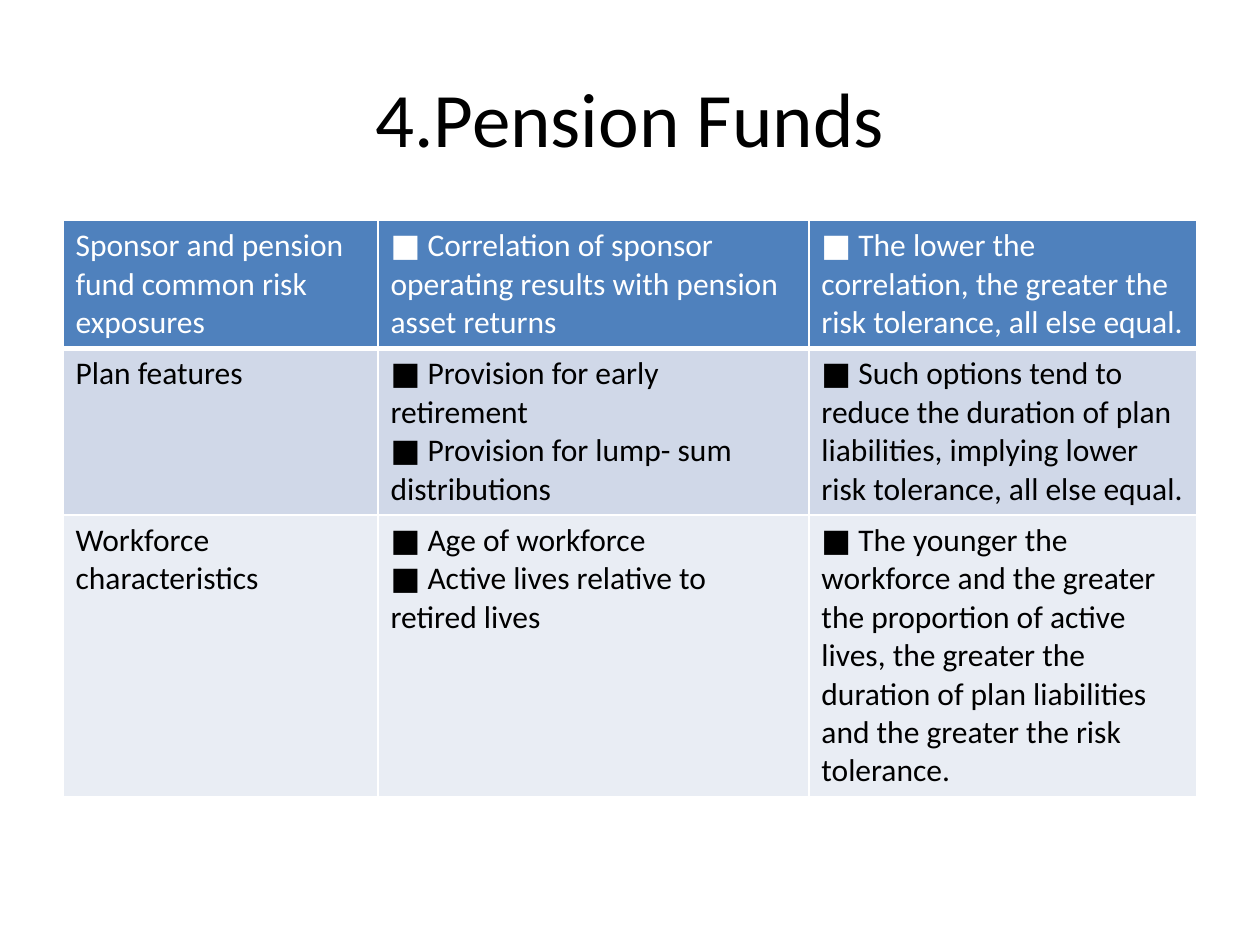
from dataclasses import dataclass

from lxml import etree
from pptx import Presentation
from pptx import util as u
from pptx.dml.color import RGBColor
from pptx.enum import text
from pptx.oxml import ns


@dataclass(frozen=True)
class Theme:
    """Colours, font and type sizes of the slide."""
    font: str = "Calibri"
    title_size: int = 44
    cell_size: int = 18
    dark: str = "000000"
    light: str = "FFFFFF"
    row_fills: tuple = ("4F81BD", "D0D8E8", "E9EDF4")


theme = Theme()


def write(frame, lines, size=theme.cell_size, color=theme.dark,
          align=text.PP_ALIGN.LEFT, anchor=text.MSO_ANCHOR.TOP):
    """Fill a text frame with one formatted paragraph per line."""
    frame.vertical_anchor = anchor
    for i, line in enumerate(lines):
        paragraph = frame.paragraphs[0] if i == 0 else frame.add_paragraph()
        paragraph.alignment = align
        run = paragraph.add_run()
        run.text = line
        run.font.name = theme.font
        run.font.size = u.Pt(size)
        run.font.color.rgb = RGBColor.from_string(color)


def set_borders(cell, widths):
    """Draw cell borders; widths maps L, R, T, B to points."""
    properties = cell._tc.get_or_add_tcPr()
    for side, points in widths.items():
        line = etree.SubElement(properties, ns.qn(f"a:ln{side}"), w=str(u.Pt(points)))
        fill = etree.SubElement(line, ns.qn("a:solidFill"))
        etree.SubElement(fill, ns.qn("a:srgbClr"), val=theme.light)


presentation = Presentation()
presentation.slide_width, presentation.slide_height = u.Inches(10), u.Inches(7.5)
slide = presentation.slides.add_slide(presentation.slide_layouts[5])

margin = u.Inches(0.5)
content_width = presentation.slide_width - 2 * margin

title = slide.shapes.title
title.left, title.top = margin, u.Inches(0.3)
title.width, title.height = content_width, u.Inches(1.25)
write(title.text_frame, ["4.Pension Funds"], size=theme.title_size,
      align=text.PP_ALIGN.CENTER)
title.text_frame.vertical_anchor = text.MSO_ANCHOR.MIDDLE

risk_factors = [
    [["Sponsor and pension", "fund common risk", "exposures"],
     ["■ Correlation of sponsor operating results with pension asset returns"],
     ["■ The lower the correlation, the greater the risk tolerance, all else equal."]],
    [["Plan features"],
     ["■ Provision for early retirement", "■ Provision for lump- sum", "distributions"],
     ["■ Such options tend to reduce the duration of plan liabilities, "
      "implying lower risk tolerance, all else equal."]],
    [["Workforce", "characteristics"],
     ["■ Age of workforce", "■ Active lives relative to retired lives"],
     ["■ The younger the workforce and the greater the proportion of active lives, "
      "the greater the duration of plan liabilities and the greater the risk tolerance."]],
]
column_widths = [2.5, 3.42, 3.08]
table_height = u.Inches(4.5)

table_frame = slide.shapes.add_table(len(risk_factors), len(column_widths), margin,
                                     u.Inches(1.75), content_width, table_height)
factors = table_frame.table
for column, width in zip(factors.columns, column_widths):
    column.width = u.Inches(width)

for r, (factor, fill_color) in enumerate(zip(risk_factors, theme.row_fills)):
    is_header = r == 0
    factors.rows[r].height = u.Inches(0.41)
    for c, lines in enumerate(factor):
        cell = factors.cell(r, c)
        write(cell.text_frame, lines, color=theme.light if is_header else theme.dark)
        set_borders(cell, {"L": 1, "R": 1, "T": 3 if r == 1 else 1,
                           "B": 3 if is_header else 1})
        cell.fill.solid()
        cell.fill.fore_color.rgb = RGBColor.from_string(fill_color)
        for paragraph in cell.text_frame.paragraphs:
            for run in paragraph.runs:
                run.font.bold = False
table_frame.height = table_height

presentation.save("out.pptx")
